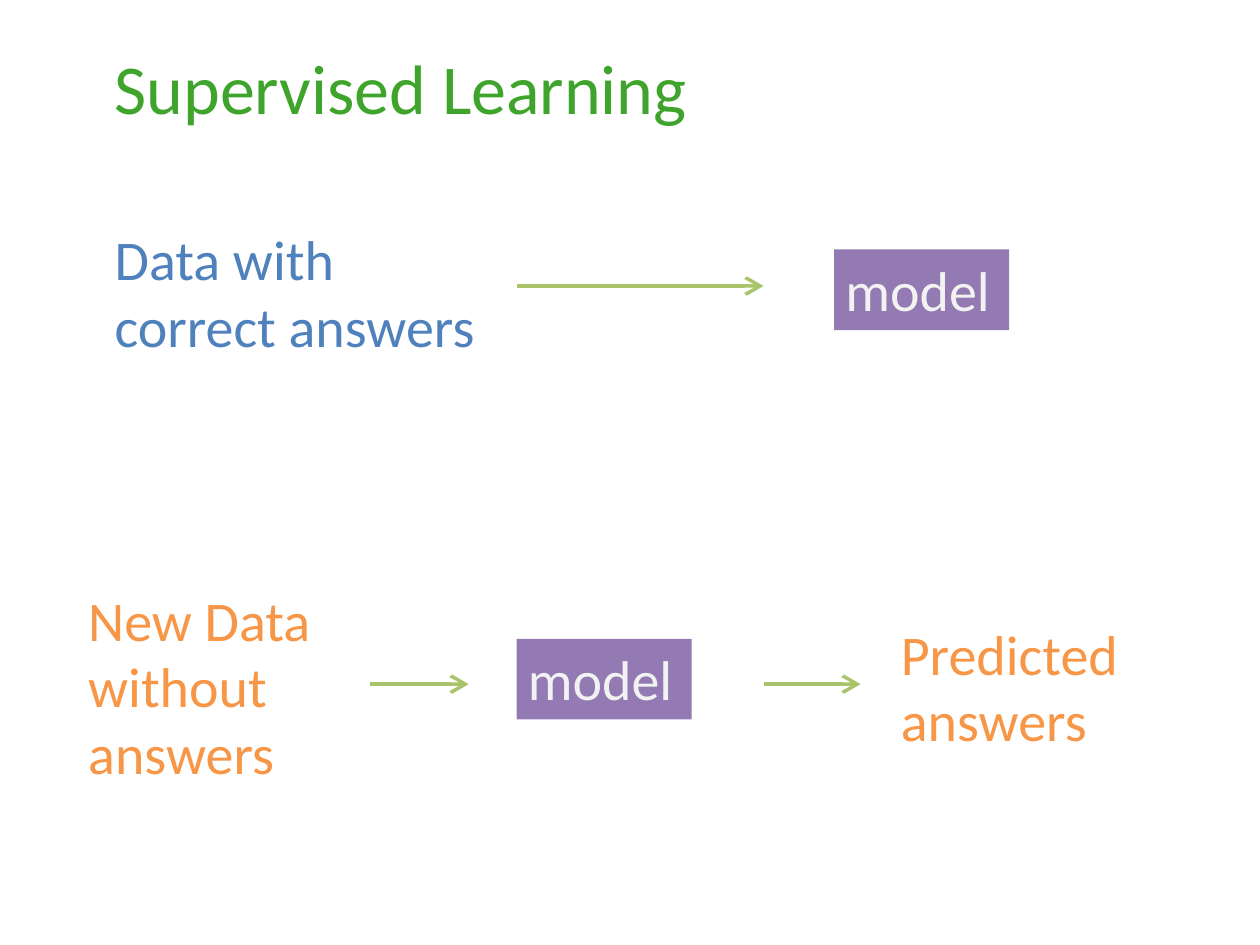
import pptx
import pptx.util
import pptx.dml.color
import pptx.enum.shapes
import pptx.enum.text
import pptx.oxml.ns
import lxml.etree

Inches = pptx.util.Inches
Pt = pptx.util.Pt
RGBColor = pptx.dml.color.RGBColor

TITLE_GREEN = RGBColor(0x3F, 0xA4, 0x2C)
DATA_BLUE = RGBColor(0x4F, 0x81, 0xBD)
NEW_ORANGE = RGBColor(0xF7, 0x96, 0x46)
MODEL_PURPLE = RGBColor(0x93, 0x7A, 0xB2)
MODEL_TEXT = RGBColor(0xF2, 0xF2, 0xF2)
ARROW_GREEN = RGBColor(0xAA, 0xC4, 0x6C)


def write_text(shape, text, size, color, line_spacing=None, left=0, top=0):
    frame = shape.text_frame
    frame_format = {
        "word_wrap": True,
        "vertical_anchor": pptx.enum.text.MSO_ANCHOR.TOP,
        "margin_left": Inches(left),
        "margin_top": Inches(top),
        "margin_right": 0,
        "margin_bottom": 0,
    }
    for name, value in frame_format.items():
        setattr(frame, name, value)
    frame.text = text
    paragraph = frame.paragraphs[0]
    paragraph.alignment = pptx.enum.text.PP_ALIGN.LEFT
    paragraph.line_spacing = line_spacing
    font = paragraph.runs[0].font
    for name, value in {"name": "Calibri", "size": Pt(size)}.items():
        setattr(font, name, value)
    font.color.rgb = color


presentation = pptx.Presentation()
presentation.slide_width = Inches(10)
presentation.slide_height = Inches(7.5)
slide = presentation.slides.add_slide(presentation.slide_layouts[6])

labels = [
    ("Supervised Learning", 0.91, 0.35, 4.7, 0.69, 40, TITLE_GREEN, None),
    ("Data with correct answers", 0.91, 1.79, 2.95, 1.06, 32, DATA_BLUE, Pt(38)),
    ("New Data without answers", 0.7, 4.65, 1.85, 1.59, 32, NEW_ORANGE, Pt(38)),
    ("Predicted answers", 7.15, 4.92, 1.8, 1.06, 32, NEW_ORANGE, Pt(38)),
]
for text, left, top, width, height, size, color, line_spacing in labels:
    label = slide.shapes.add_textbox(
        Inches(left), Inches(top), Inches(width), Inches(height)
    )
    write_text(label, text, size, color, line_spacing)

for left, top in [(6.62, 1.98), (4.1, 5.07)]:
    model = slide.shapes.add_shape(
        pptx.enum.shapes.MSO_SHAPE.RECTANGLE,
        Inches(left), Inches(top), Inches(1.39), Inches(0.64),
    )
    model.shadow.inherit = False
    model.fill.solid()
    model.fill.fore_color.rgb = MODEL_PURPLE
    model.line.fill.background()
    write_text(model, "model", 32, MODEL_TEXT, left=0.09, top=0.05)

for start, end, height in [(4.1, 6.06, 2.27), (2.94, 3.72, 5.43), (6.06, 6.83, 5.43)]:
    arrow = slide.shapes.add_connector(
        pptx.enum.shapes.MSO_CONNECTOR.STRAIGHT,
        Inches(start), Inches(height), Inches(end), Inches(height),
    )
    arrow.line.color.rgb = ARROW_GREEN
    arrow.line.width = Pt(2)
    lxml.etree.SubElement(
        arrow.line._get_or_add_ln(), pptx.oxml.ns.qn("a:tailEnd"),
        {"type": "arrow", "w": "lg", "len": "lg"},
    )
    lxml.etree.SubElement(arrow._element.spPr, pptx.oxml.ns.qn("a:effectLst"))

presentation.save("out.pptx")
